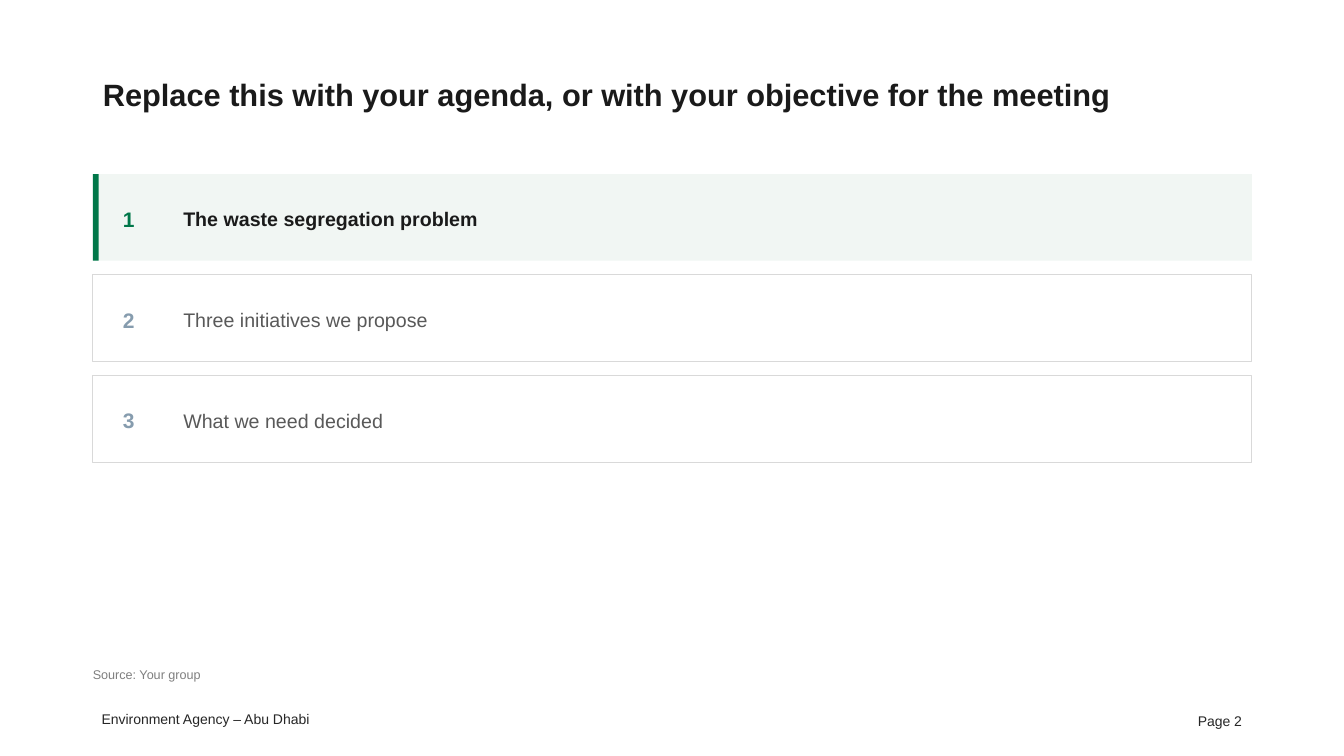
from dataclasses import dataclass

from pptx import Presentation
from pptx.dml.color import RGBColor
from pptx.enum.shapes import MSO_SHAPE
from pptx.enum.text import MSO_ANCHOR, MSO_AUTO_SIZE, PP_ALIGN
from pptx.shapes.autoshape import Shape
from pptx.slide import Slide
from pptx.util import Cm, Pt

FONT = "Arial"
INK, FOOTER_INK, MUTED = "1A1A1A", "262626", "595959"
GREEN, PALE_GREEN, SLATE = "007749", "F1F6F3", "869CAE"
WHITE, RULE_GREY, SOURCE_GREY = "FFFFFF", "D9D9D9", "7F7F7F"

MARGIN, CONTENT_WIDTH = 2.34, 29.21
FIRST_ROW_TOP, ROW_HEIGHT, ROW_STEP = 4.39, 2.18, 2.54
ACCENT_WIDTH = 0.15


@dataclass(frozen=True)
class Box:
    left: float
    top: float
    width: float
    height: float

    def emu(self) -> tuple[Cm, Cm, Cm, Cm]:
        return Cm(self.left), Cm(self.top), Cm(self.width), Cm(self.height)


@dataclass(frozen=True)
class TextStyle:
    size: float
    colour: str
    bold: bool = False
    align: PP_ALIGN = PP_ALIGN.LEFT
    line_spacing: float = 1.0
    space_after: float = 0


@dataclass(frozen=True)
class AgendaItem:
    topic: str
    current: bool = False


AGENDA = [
    AgendaItem("The waste segregation problem", current=True),
    AgendaItem("Three initiatives we propose"),
    AgendaItem("What we need decided"),
]


def rgb(hex_colour: str) -> RGBColor:
    return RGBColor.from_string(hex_colour)


def write(shape: Shape, text: str, style: TextStyle, anchor: MSO_ANCHOR) -> None:
    frame = shape.text_frame
    frame.text = text
    frame.word_wrap = True
    frame.auto_size = MSO_AUTO_SIZE.NONE
    frame.vertical_anchor = anchor
    paragraph = frame.paragraphs[0]
    paragraph.alignment = style.align
    paragraph.line_spacing = style.line_spacing
    paragraph.space_after = Pt(style.space_after)
    paragraph.font.name = FONT
    paragraph.font.size = Pt(style.size)
    paragraph.font.bold = style.bold
    paragraph.font.color.rgb = rgb(style.colour)


def add_label(
    slide: Slide,
    box: Box,
    text: str,
    style: TextStyle,
    anchor: MSO_ANCHOR = MSO_ANCHOR.TOP,
    padded: bool = False,
) -> Shape:
    label = slide.shapes.add_textbox(*box.emu())
    write(label, text, style, anchor)
    if not padded:
        frame = label.text_frame
        frame.margin_left = frame.margin_right = 0
        frame.margin_top = frame.margin_bottom = 0
    return label


def add_panel(slide: Slide, box: Box, fill: str, outline: str | None = None) -> None:
    panel = slide.shapes.add_shape(MSO_SHAPE.RECTANGLE, *box.emu())
    panel.shadow.inherit = False
    panel.fill.solid()
    panel.fill.fore_color.rgb = rgb(fill)
    if outline:
        panel.line.color.rgb = rgb(outline)
        panel.line.width = Pt(0.75)
    else:
        panel.line.fill.background()


def add_agenda_row(slide: Slide, number: int, item: AgendaItem) -> None:
    top = FIRST_ROW_TOP + (number - 1) * ROW_STEP
    row = Box(MARGIN, top, CONTENT_WIDTH, ROW_HEIGHT)
    if item.current:
        add_panel(slide, row, PALE_GREEN)
        add_panel(slide, Box(MARGIN, top, ACCENT_WIDTH, ROW_HEIGHT), GREEN)
    else:
        add_panel(slide, row, WHITE, RULE_GREY)
    number_style = TextStyle(
        15, GREEN if item.current else SLATE, True, line_spacing=1.12, space_after=3
    )
    topic_style = TextStyle(
        14, INK if item.current else MUTED, item.current, line_spacing=1.12, space_after=3
    )
    middle = MSO_ANCHOR.MIDDLE
    add_label(slide, Box(3.1, top, 1.27, ROW_HEIGHT), str(number), number_style, middle)
    add_label(slide, Box(4.62, top, 26.16, ROW_HEIGHT), item.topic, topic_style, middle)


def add_title(slide: Slide, text: str) -> None:
    title = slide.shapes.title
    title.left, title.top, title.width, title.height = Box(
        MARGIN, 1.02, CONTENT_WIDTH, 2.67
    ).emu()
    write(title, text, TextStyle(22, INK, True, line_spacing=1.05), MSO_ANCHOR.MIDDLE)


def add_footer(slide: Slide) -> None:
    add_label(
        slide,
        Box(MARGIN, 16.76, 21.34, 0.56),
        "Source: Your group",
        TextStyle(9, SOURCE_GREY, line_spacing=1.12, space_after=3),
    )
    add_label(
        slide,
        Box(23.93, 17.65, 7.62, 1.02),
        "Page 2",
        TextStyle(10, FOOTER_INK, align=PP_ALIGN.RIGHT),
        MSO_ANCHOR.MIDDLE,
        padded=True,
    )
    organisation = add_label(
        slide,
        Box(2.31, 17.78, 5.82, 0.69),
        "Environment Agency – Abu Dhabi",
        TextStyle(10, FOOTER_INK),
        padded=True,
    )
    organisation.text_frame.word_wrap = False


def main() -> None:
    deck = Presentation()
    deck.slide_width, deck.slide_height = Cm(33.87), Cm(19.05)
    slide = deck.slides.add_slide(deck.slide_layouts.get_by_name("Title Only"))
    add_title(slide, "Replace this with your agenda, or with your objective for the meeting")
    for number, item in enumerate(AGENDA, start=1):
        add_agenda_row(slide, number, item)
    add_footer(slide)
    deck.save("out.pptx")


if __name__ == "__main__":
    main()
